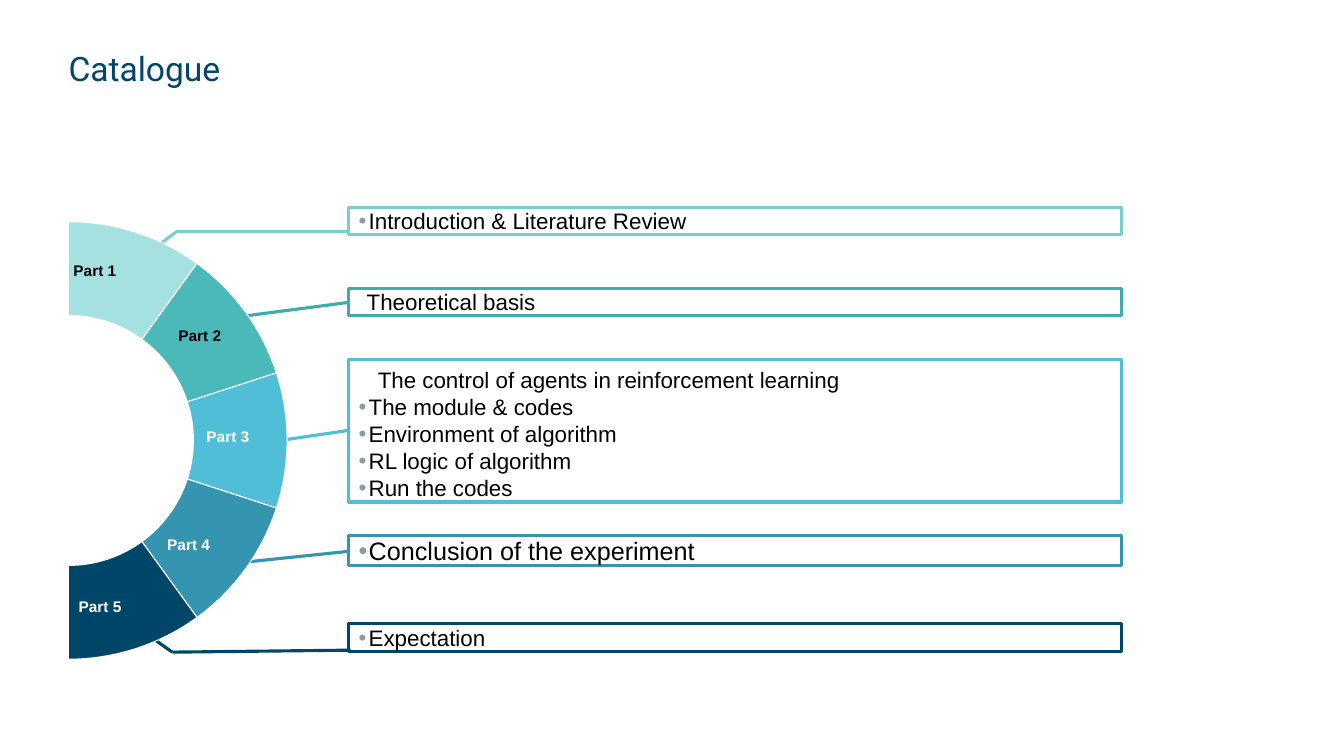
from math import cos, radians, sin, tan

from lxml import etree
from pptx import Presentation
from pptx.dml.color import RGBColor
from pptx.enum.shapes import MSO_CONNECTOR as CONN, MSO_SHAPE as SHAPE
from pptx.enum.text import MSO_ANCHOR as ANCHOR, PP_ALIGN as ALIGN
from pptx.oxml.ns import qn
from pptx.util import Pt

PX = 9144
INK, WHITE, BULLET = "000000", "FFFFFF", "879BAA"
BOX_LEFT, BOX_WIDTH = 346, 767
TEXT_INDENT, HANG = 20, -10

PARTS = [
    dict(fill="A5E1E1", line="78CDCD", ink=INK, label=(73, 259), top=206, height=27,
         size=16, bullets=["Introduction & Literature Review"],
         leader=[(155, 245), (175, 230), (344, 230)]),
    dict(fill="4BB9B9", line="41AAAA", ink=INK, label=(177, 323), top=286, height=27,
         size=16, intro="Theoretical basis", indent=18, bullets=[],
         leader=[(239, 314), (346, 300)]),
    dict(fill="50BED7", line="50BED7", ink=WHITE, label=(205, 423), top=357, height=141,
         size=16, intro="The control of agents in reinforcement learning",
         indent=29, leading=24,
         bullets=["The module & codes", "Environment of algorithm",
                  "RL logic of algorithm", "Run the codes"],
         leader=[(285, 436), (346, 427)]),
    dict(fill="3595B1", line="3595B1", ink=WHITE, label=(166, 531), top=531, height=30,
         size=18, bullets=["Conclusion of the experiment"],
         leader=[(240, 558), (346, 547)]),
    dict(fill="004669", line="004669", ink=WHITE, label=(78, 592), top=619, height=27,
         size=16, bullets=["Expectation"],
         leader=[(147, 630), (171, 647), (348, 645)]),
]


def px(*lengths):
    """Turn pixel lengths into EMU."""
    return [round(n * PX) for n in lengths]


def rgb(color):
    """Return the colour of a hex string."""
    return RGBColor.from_string(color)


def set_font(p, size, color, name="Arial", bold=False):
    """Format every run of a paragraph."""
    for r in p.runs:
        r.font.size, r.font.name, r.font.bold = Pt(size), name, bold
        r.font.color.rgb = rgb(color)


def clear_margins(tf):
    """Remove the inner margins of a text frame."""
    tf.margin_left = tf.margin_top = tf.margin_right = tf.margin_bottom = 0


def set_indent(p, left, first, bullet=False):
    """Set the indents of a paragraph and, if wanted, its bullet."""
    pPr = p._p.get_or_add_pPr()
    pPr.set("marL", str(left * PX))
    pPr.set("indent", str(first * PX))
    if bullet:
        p.level = 1
        color = etree.SubElement(pPr, qn("a:buClr"))
        etree.SubElement(color, qn("a:srgbClr")).set("val", BULLET)
        etree.SubElement(pPr, qn("a:buFont")).set("typeface", "Arial")
        etree.SubElement(pPr, qn("a:buChar")).set("char", "•")


def add_text(s, x, y, w, h, text, size, color, name="Arial", bold=False):
    """Add a one-line text box without margins."""
    tf = s.shapes.add_textbox(*px(x, y, w, h)).text_frame
    clear_margins(tf)
    tf.text = text
    tf.vertical_anchor = ANCHOR.MIDDLE if bold else ANCHOR.TOP
    set_font(tf.paragraphs[0], size, color, name, bold)


def add_leader(s, points, color):
    """Join the ring to a box along the given points."""
    for start, end in zip(points, points[1:]):
        line = s.shapes.add_connector(CONN.STRAIGHT, *px(*start, *end))
        line.line.color.rgb, line.line.width = rgb(color), Pt(2.25)
        etree.SubElement(line._element.spPr, qn("a:effectLst"))


def bend(sp, line_to, cx, cy, radius, start, end):
    """Turn a straight segment of a freeform into an arc around a centre."""
    reach = 4 / 3 * tan(radians(end - start) / 4)
    curve = etree.Element(qn("a:cubicBezTo"))
    for angle, pull in ((start, reach), (end, -reach), (end, 0)):
        a = radians(angle)
        x, y = px(cx + radius * (cos(a) - pull * sin(a)),
                  cy + radius * (sin(a) + pull * cos(a)))
        pt = etree.SubElement(curve, qn("a:pt"))
        pt.set("x", str(x - sp.left))
        pt.set("y", str(y - sp.top))
    line_to.getparent().replace(line_to, curve)


def add_wedge(s, cx, cy, outer, inner, start, end, color):
    """Draw one wedge of a ring between two angles."""
    mid = (start + end) / 2
    stops = [(outer, start), (outer, mid), (outer, end),
             (inner, end), (inner, mid), (inner, start)]
    points = [px(cx + r * cos(radians(a)), cy + r * sin(radians(a))) for r, a in stops]
    builder = s.shapes.build_freeform(*points[0])
    builder.add_line_segments(points[1:])
    sp = builder.convert_to_shape()
    segments = list(sp._element.iter(qn("a:lnTo")))
    for line_to, (r, a), (next_r, b) in zip(segments, stops, stops[1:]):
        if r == next_r:
            bend(sp, line_to, cx, cy, r, a, b)
    sp.shadow.inherit = False
    sp.fill.solid()
    sp.fill.fore_color.rgb = rgb(color)
    sp.line.color.rgb, sp.line.width = rgb(WHITE), Pt(0.75)


def add_half_ring(s, x, y, outer, inner):
    """Draw the labelled half ring, its flat side at x and its top at y."""
    step = 180 // len(PARTS)
    for i, part in enumerate(PARTS):
        start = -90 + i * step
        add_wedge(s, x, y + outer, outer, inner, start, start + step, part["fill"])
    for i, part in enumerate(PARTS, 1):
        add_text(s, *part["label"], 43, 19, f"Part {i}", 11, part["ink"], bold=True)


def add_topic(s, x, w, part):
    """Add the outlined box that lists the topics of a part."""
    sp = s.shapes.add_shape(SHAPE.RECTANGLE, *px(x, part["top"], w, part["height"]))
    sp.shadow.inherit = False
    sp.fill.background()
    sp.line.color.rgb, sp.line.width = rgb(part["line"]), Pt(2.25)
    tf = sp.text_frame
    tf.word_wrap, tf.vertical_anchor = True, ANCHOR.TOP
    clear_margins(tf)
    intro, size = part.get("intro"), part["size"]
    tf.text = "\n".join(([intro] if intro else []) + part["bullets"])
    for i, p in enumerate(tf.paragraphs):
        is_intro = bool(intro) and i == 0
        p.alignment = ALIGN.LEFT
        p.line_spacing = Pt(part.get("leading", size * 1.2) if is_intro else size * 1.2)
        if is_intro:
            set_indent(p, 0, part["indent"])
        else:
            set_indent(p, TEXT_INDENT, HANG, bullet=True)
        set_font(p, size, INK)


def build_catalogue(prs):
    """Add the catalogue slide."""
    s = prs.slides.add_slide(prs.slide_layouts[6])
    for part in PARTS:
        add_leader(s, part["leader"], part["line"])
    add_text(s, 68, 48, 895, 44, "Catalogue", 24, "004669", name="Roboto")
    add_half_ring(s, 68, 220, 217, 124)
    for part in PARTS:
        add_topic(s, BOX_LEFT, BOX_WIDTH, part)


def main():
    """Build and save the presentation."""
    prs = Presentation()
    prs.slide_width, prs.slide_height = px(1334, 750)
    build_catalogue(prs)
    prs.save("out.pptx")


if __name__ == "__main__":
    main()
